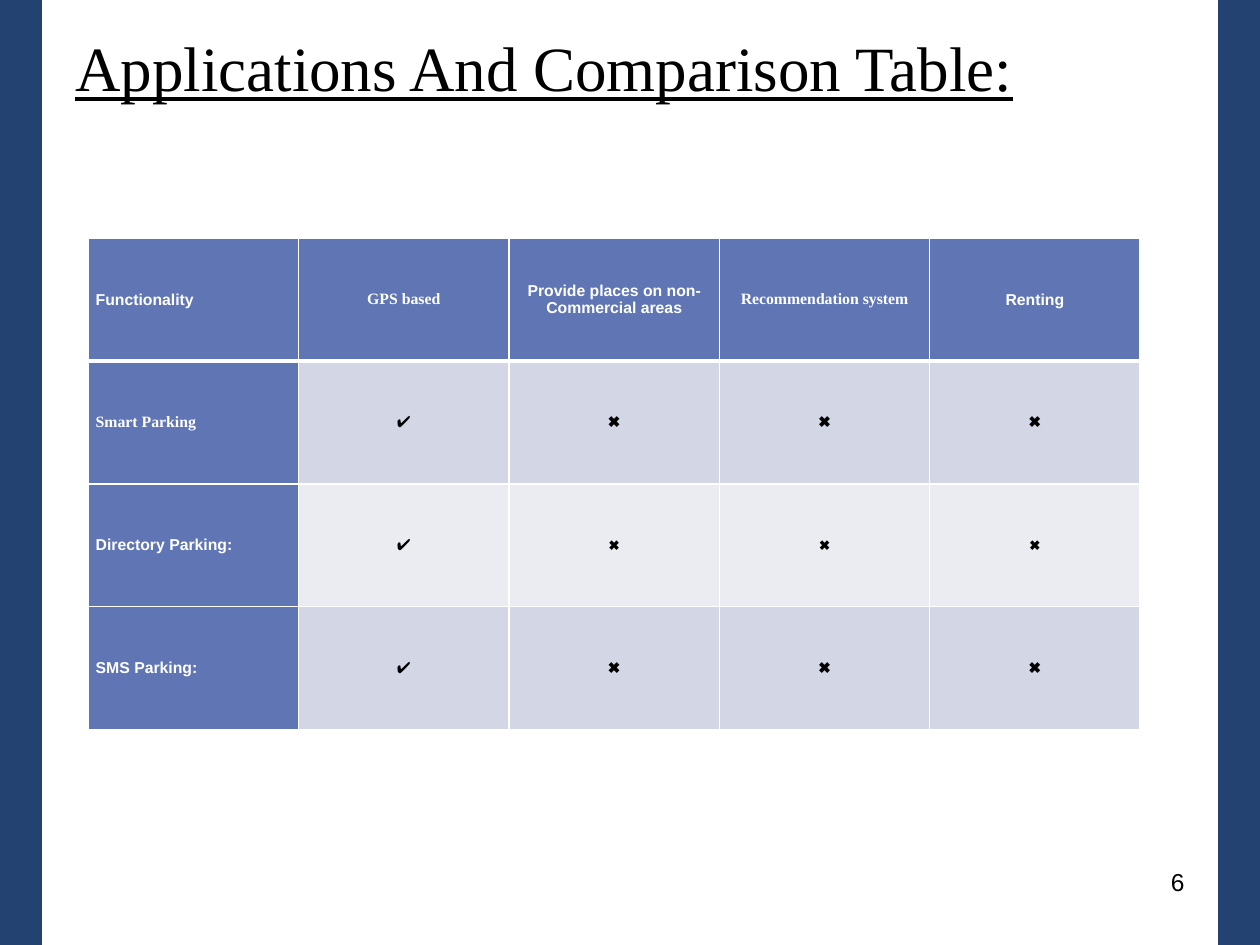
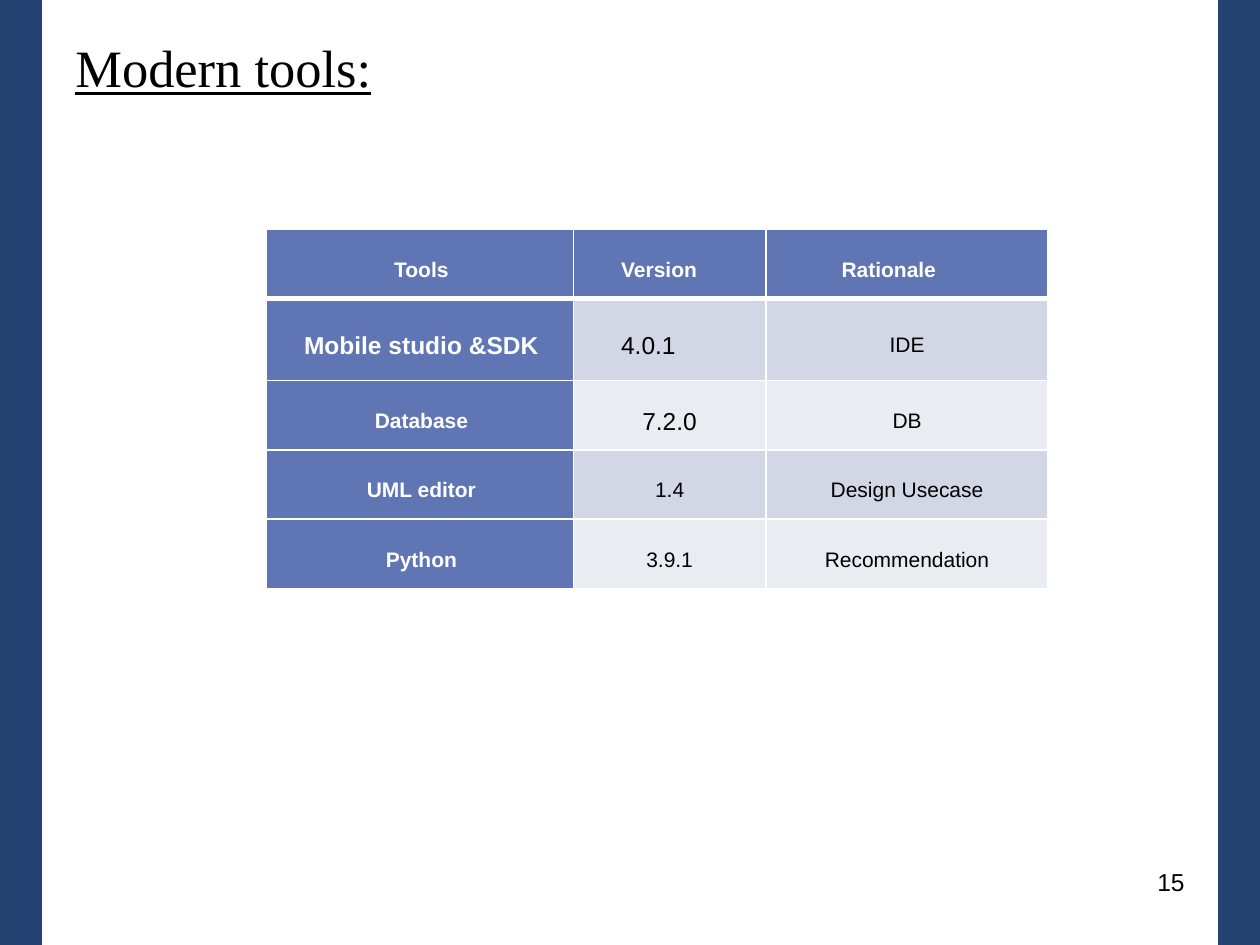
import pptx
import pptx.dml.color
import pptx.enum.shapes
import pptx.enum.text
import pptx.oxml.ns
import pptx.util
from lxml import etree

Inches = pptx.util.Inches
Pt = pptx.util.Pt
RGBColor = pptx.dml.color.RGBColor
ALIGN = pptx.enum.text.PP_ALIGN
MIDDLE = pptx.enum.text.MSO_ANCHOR.MIDDLE

NAVY = RGBColor(0x23, 0x42, 0x71)
BLUE = RGBColor(0x60, 0x76, 0xB4)
DARK_BAND = RGBColor(0xD2, 0xD6, 0xE5)
LIGHT_BAND = RGBColor(0xEA, 0xEC, 0xF2)
WHITE = RGBColor(0xFF, 0xFF, 0xFF)
BLACK = RGBColor(0, 0, 0)

SANS = "Arial"
SERIF = "Times New Roman"
SLIDE_WIDTH, SLIDE_HEIGHT = 10, 7.5
BAND_WIDTH = 0.33

COMPARISON = [
    ["Functionality", "GPS based", "Provide places on non-Commercial areas",
     "Recommendation system", "Renting"],
    ["Smart Parking", "✔", "✖", "✖", "✖"],
    ["Directory Parking:", "✔", "✖", "✖", "✖"],
    ["SMS Parking:", "✔", "✖", "✖", "✖"],
]
SERIF_LABELS = {"GPS based", "Recommendation system", "Smart Parking"}

TOOLS = [
    ["Tools", "Version", "Rationale"],
    ["Mobile studio &SDK", "4.0.1", "IDE"],
    ["Database", "7.2.0", "DB"],
    ["UML editor", "1.4", "Design Usecase"],
    ["Python", "3.9.1", "Recommendation"],
]
LARGE_TOOL_CELLS = {"Mobile studio &SDK", "4.0.1", "7.2.0"}
LEFT_INDENTS = {"Version": 0.38, "Rationale": 0.6, "4.0.1": 0.38}


def style_font(font, size, name=SANS, color=BLACK, bold=False):
    font.size, font.name, font.bold = Pt(size), name, bold
    font.color.rgb = color


def add_text(slide, box, text, size, name=SANS):
    """Add a one-line text box and return its text frame."""
    frame = slide.shapes.add_textbox(*map(Inches, box)).text_frame
    frame.word_wrap = True
    frame.text = text
    style_font(frame.paragraphs[0].font, size, name)
    return frame


def add_side_bands(slide):
    for left in (SLIDE_WIDTH - BAND_WIDTH, 0):
        band = slide.shapes.add_shape(
            pptx.enum.shapes.MSO_SHAPE.RECTANGLE, Inches(left), 0,
            Inches(BAND_WIDTH), Inches(SLIDE_HEIGHT))
        band.shadow.inherit = False
        band.fill.solid()
        band.fill.fore_color.rgb = NAVY
        band.line.color.rgb = NAVY
        band.line.width = Pt(1)


def add_title(slide, text, size):
    frame = add_text(slide, (0.5, 0.21, 9, 0.64), text, size, SERIF)
    frame.vertical_anchor = MIDDLE
    frame.paragraphs[0].font.underline = True


def add_page_number(slide, number):
    frame = add_text(slide, (7.17, 6.83, 2.33, 0.52), str(number), 14)
    frame.paragraphs[0].alignment = ALIGN.RIGHT


def set_cell_borders(cell, top, bottom):
    """Draw white borders; top and bottom are widths in points."""
    properties = cell._tc.get_or_add_tcPr()
    for side, width in (("L", 1), ("R", 1), ("T", top), ("B", bottom)):
        line = etree.SubElement(properties, pptx.oxml.ns.qn(f"a:ln{side}"), w=str(Pt(width)))
        fill = etree.SubElement(line, pptx.oxml.ns.qn("a:solidFill"))
        etree.SubElement(fill, pptx.oxml.ns.qn("a:srgbClr"), val=str(WHITE))


def add_table(slide, left, top, column_widths, row_heights, rows, side_margin, style_text):
    """Add a table with a blue header row and column; style_text sets each paragraph."""
    table = slide.shapes.add_table(
        len(rows), len(column_widths), Inches(left), Inches(top),
        Inches(sum(column_widths)), Inches(sum(row_heights))).table
    table.first_col = True
    for column, width in zip(table.columns, column_widths):
        column.width = Inches(width)
    for row_index, (row, height) in enumerate(zip(rows, row_heights)):
        table.rows[row_index].height = Inches(height)
        for column_index, text in enumerate(row):
            cell = table.cell(row_index, column_index)
            cell.margin_left = cell.margin_right = Inches(side_margin)
            cell.margin_top = cell.margin_bottom = 0
            cell.vertical_anchor = MIDDLE
            set_cell_borders(cell, top=3 if row_index == 1 else 1,
                             bottom=3 if row_index == 0 else 1)
            is_heading = row_index == 0 or column_index == 0
            cell.fill.solid()
            cell.fill.fore_color.rgb = (
                BLUE if is_heading else DARK_BAND if row_index % 2 else LIGHT_BAND)
            cell.text = text
            paragraph = cell.text_frame.paragraphs[0]
            style_text(paragraph, row_index, column_index)
            paragraph.font.bold = is_heading
            paragraph.font.color.rgb = WHITE if is_heading else BLACK


def style_comparison_text(paragraph, row_index, column_index):
    small_cross = row_index == 2 and column_index > 1
    style_font(paragraph.font, 8 if small_cross else 9,
               SERIF if paragraph.text in SERIF_LABELS else SANS)
    paragraph.alignment = ALIGN.CENTER if column_index else ALIGN.LEFT


def style_tool_text(paragraph, row_index, column_index):
    text = paragraph.text
    style_font(paragraph.font, 14 if text in LARGE_TOOL_CELLS else 12)
    paragraph.line_spacing = 1.5
    paragraph.alignment = ALIGN.LEFT if text in LEFT_INDENTS else ALIGN.CENTER
    indent = LEFT_INDENTS.get(text, 0 if column_index else 0.03)
    paragraph._p.get_or_add_pPr().set("marL", str(Inches(indent)))


def add_framed_slide(presentation, title, title_size, number):
    slide = presentation.slides.add_slide(presentation.slide_layouts[6])
    add_side_bands(slide)
    add_title(slide, title, title_size)
    add_page_number(slide, number)
    return slide


def main():
    presentation = pptx.Presentation()
    presentation.slide_width = Inches(SLIDE_WIDTH)
    presentation.slide_height = Inches(SLIDE_HEIGHT)

    comparison = add_framed_slide(presentation, "Applications And Comparison Table:", 36, 6)
    add_table(comparison, 0.7, 1.89, [1.67] * 5, [3.9 / 4] * 4,
              COMPARISON, 0.06, style_comparison_text)

    tools = add_framed_slide(presentation, "Modern tools:", 30, 15)
    add_table(tools, 2.11, 1.82, [2.44, 1.53, 2.24], [0.55, 0.65, 0.55, 0.55, 0.55],
              TOOLS, 0, style_tool_text)

    presentation.save("out.pptx")


if __name__ == "__main__":
    main()
